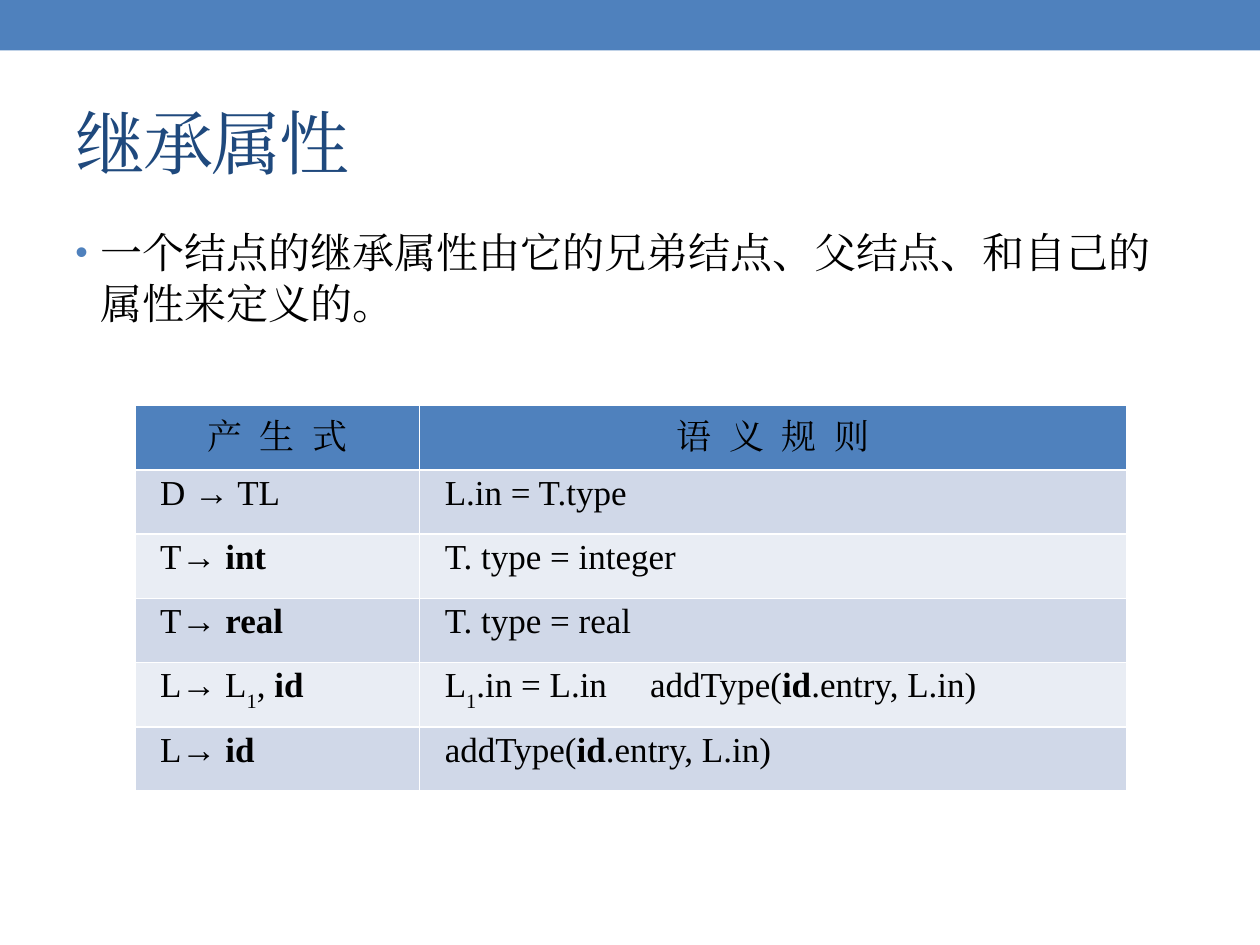
from dataclasses import dataclass

from lxml.etree import SubElement
from pptx import Presentation
from pptx.dml.color import RGBColor as RGB
from pptx.enum.shapes import MSO_SHAPE as Shape
from pptx.enum.text import MSO_ANCHOR as Anchor, PP_ALIGN as Align
from pptx.oxml.ns import qn
from pptx.util import Inches, Pt


@dataclass(frozen=True)
class Theme:
    font: str = "Times New Roman"
    accent: RGB = RGB.from_string("4F81BD")
    heading: RGB = RGB.from_string("1F497D")
    ink: RGB = RGB.from_string("000000")
    bands: tuple = (RGB.from_string("D0D8E8"), RGB.from_string("E9EDF4"))
    title_size: int = 40
    body_size: int = 24
    table_size: int = 20


THEME = Theme()

# Runs are (text, style); style is "" for plain, "b" for bold, "sub" for subscript
ADD_TYPE = [("addType(", ""), ("id", "b"), (".entry, L.in)", "")]
HEADINGS = ["产 生 式", "语 义 规 则"]
RULES = [
    ([("D → TL", "")], [("L.in = T.type", "")]),
    ([("T→ ", ""), ("int", "b")], [("T. type = integer", "")]),
    ([("T→ ", ""), ("real", "b")], [("T. type = real", "")]),
    ([("L→ L", ""), ("1", "sub"), (", ", ""), ("id", "b")],
     [("L", ""), ("1", "sub"), (".in = L.in\t", ""), *ADD_TYPE]),
    ([("L→ ", ""), ("id", "b")], ADD_TYPE),
]


def add_run(paragraph, text, size, color=THEME.ink, style="", spacing=0):
    run = paragraph.add_run()
    run.text = text
    run.font.name = THEME.font
    run.font.size = Pt(size)
    run.font.bold = style == "b"
    run.font.color.rgb = color
    props = run.font._element
    SubElement(props, qn("a:ea"), typeface=THEME.font)
    if style == "sub":
        props.set("baseline", "-30000")
    if spacing:
        props.set("spc", str(int(spacing * 100)))


def add_bullet(paragraph):
    props = paragraph._p.get_or_add_pPr()
    props.set("marL", str(Inches(0.2)))
    props.set("indent", str(-Inches(0.2)))
    color = SubElement(props, qn("a:buClr"))
    SubElement(color, qn("a:srgbClr"), val=str(THEME.accent))
    SubElement(props, qn("a:buSzPct"), val="85000")
    SubElement(props, qn("a:buFont"), typeface="Arial")
    SubElement(props, qn("a:buChar"), char="•")


def add_tab_stop(paragraph, position):
    tabs = SubElement(paragraph._p.get_or_add_pPr(), qn("a:tabLst"))
    SubElement(tabs, qn("a:tab"), pos=str(position), algn="l")


def add_band(slide, width):
    band = slide.shapes.add_shape(Shape.RECTANGLE, 0, 0, width, Inches(0.4))
    band.shadow.inherit = False
    band.fill.solid()
    band.fill.fore_color.rgb = THEME.accent
    band.line.fill.background()


def add_text_box(slide, top, height, anchor):
    frame = slide.shapes.add_textbox(
        Inches(0.5), Inches(top), Inches(9), Inches(height)).text_frame
    frame.word_wrap = True
    frame.vertical_anchor = anchor
    return frame.paragraphs[0]


def format_cell(cell, fill, left_margin):
    cell.fill.solid()
    cell.fill.fore_color.rgb = fill
    cell.margin_left = Inches(left_margin)
    cell.margin_right = Inches(0.06)
    cell.margin_top = cell.margin_bottom = Inches(0.03)
    return cell.text_frame.paragraphs[0]


def add_rule_table(slide):
    # The default table style supplies the white grid and heavy header rule
    row_count = len(RULES) + 1
    table = slide.shapes.add_table(
        row_count, 2, Inches(1.07), Inches(3.22),
        Inches(7.87), Inches(0.51 * row_count)).table
    for column, width in zip(table.columns, (2.26, 5.61)):
        column.width = Inches(width)

    for col, heading in enumerate(HEADINGS):
        cell = table.cell(0, col)
        cell.vertical_anchor = Anchor.MIDDLE
        paragraph = format_cell(cell, THEME.accent, 0.06)
        paragraph.alignment = Align.CENTER
        add_run(paragraph, heading, THEME.table_size, spacing=2.5)

    for row, rule in enumerate(RULES, start=1):
        for col, runs in enumerate(rule):
            fill = THEME.bands[(row - 1) % 2]
            paragraph = format_cell(table.cell(row, col), fill, 0.2)
            if any("\t" in text for text, _ in runs):
                add_tab_stop(paragraph, Inches(1.63))
            for text, style in runs:
                add_run(paragraph, text, THEME.table_size, style=style)


def main():
    deck = Presentation()
    deck.slide_width, deck.slide_height = Inches(10), Inches(7.5)
    slide = deck.slides.add_slide(deck.slide_layouts[6])

    # Heading
    add_band(slide, deck.slide_width)
    title = add_text_box(slide, 0.58, 1.08, Anchor.MIDDLE)
    add_run(title, "继承属性", THEME.title_size, THEME.heading, spacing=-1)

    # Definition
    definition = add_text_box(slide, 1.75, 5.33, Anchor.TOP)
    add_bullet(definition)
    add_run(definition,
            "一个结点的继承属性由它的兄弟结点、父结点、和自己的属性来定义的。",
            THEME.body_size)

    # Productions and their semantic rules
    add_rule_table(slide)
    deck.save("out.pptx")


if __name__ == "__main__":
    main()
